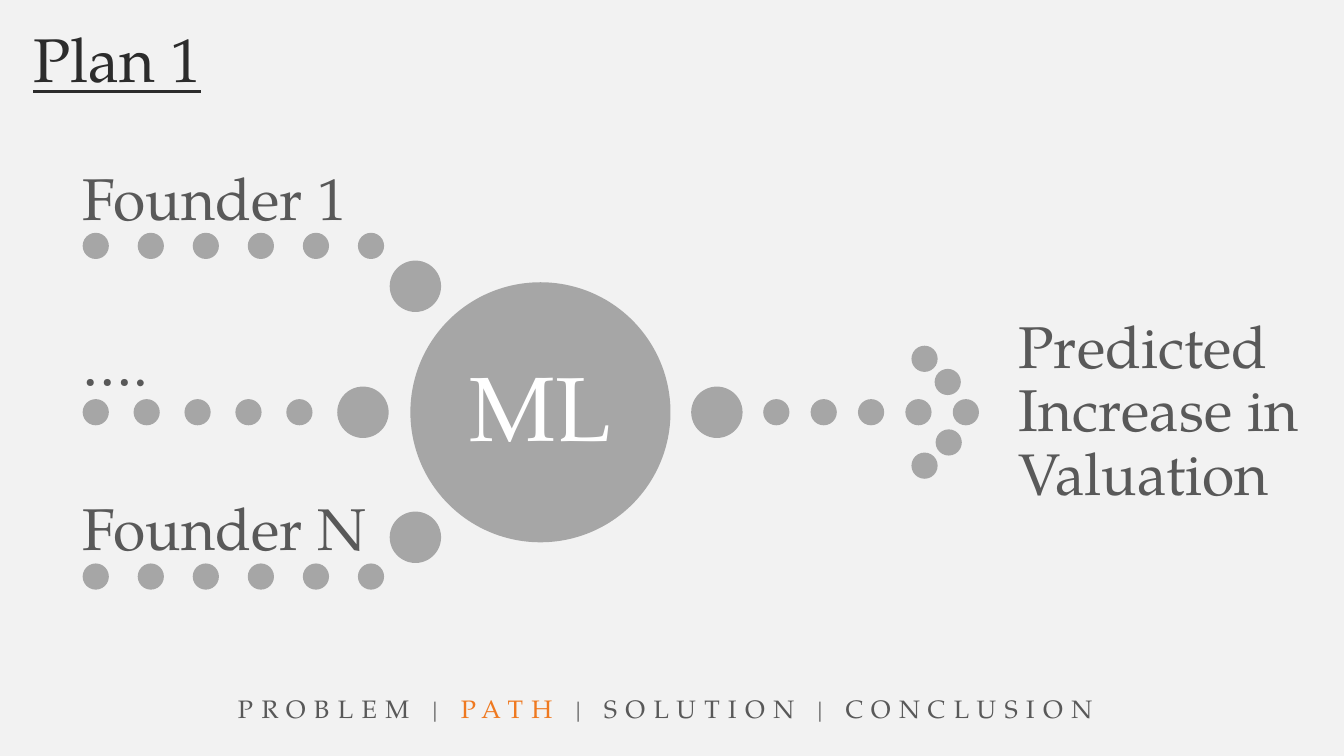
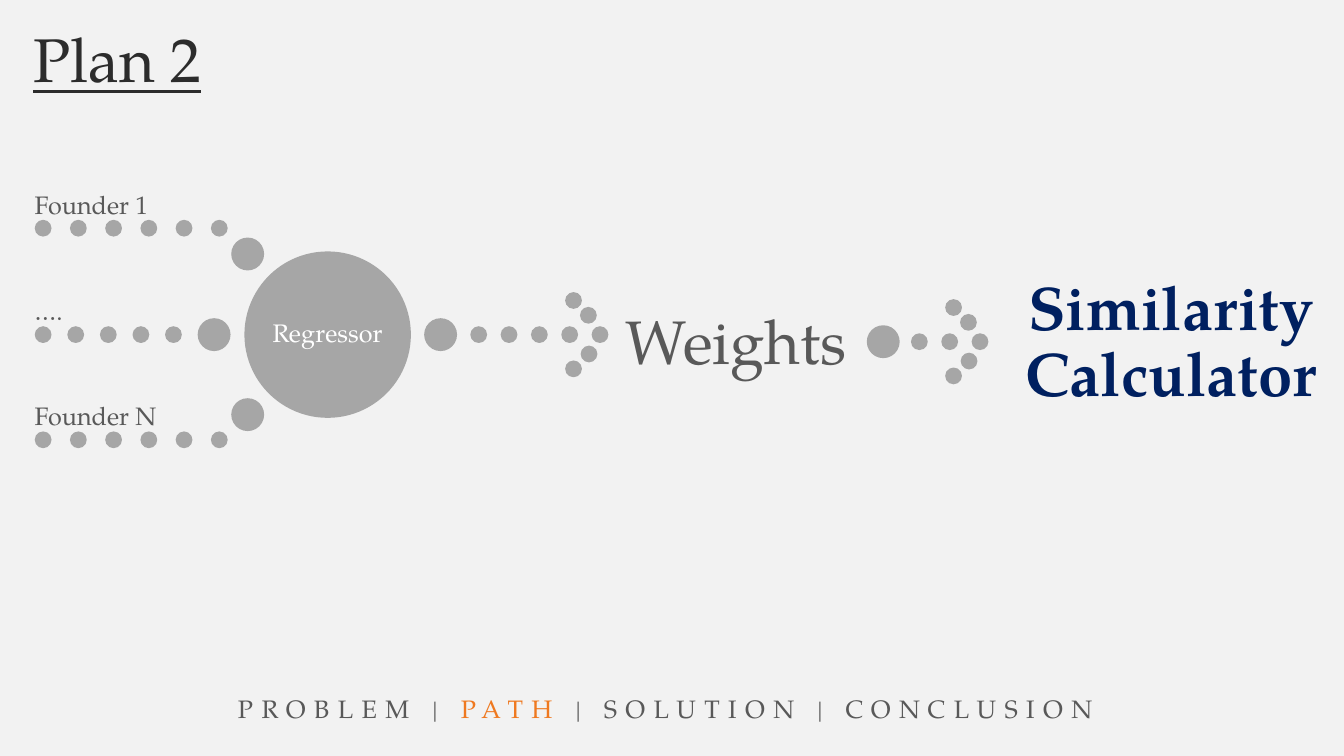
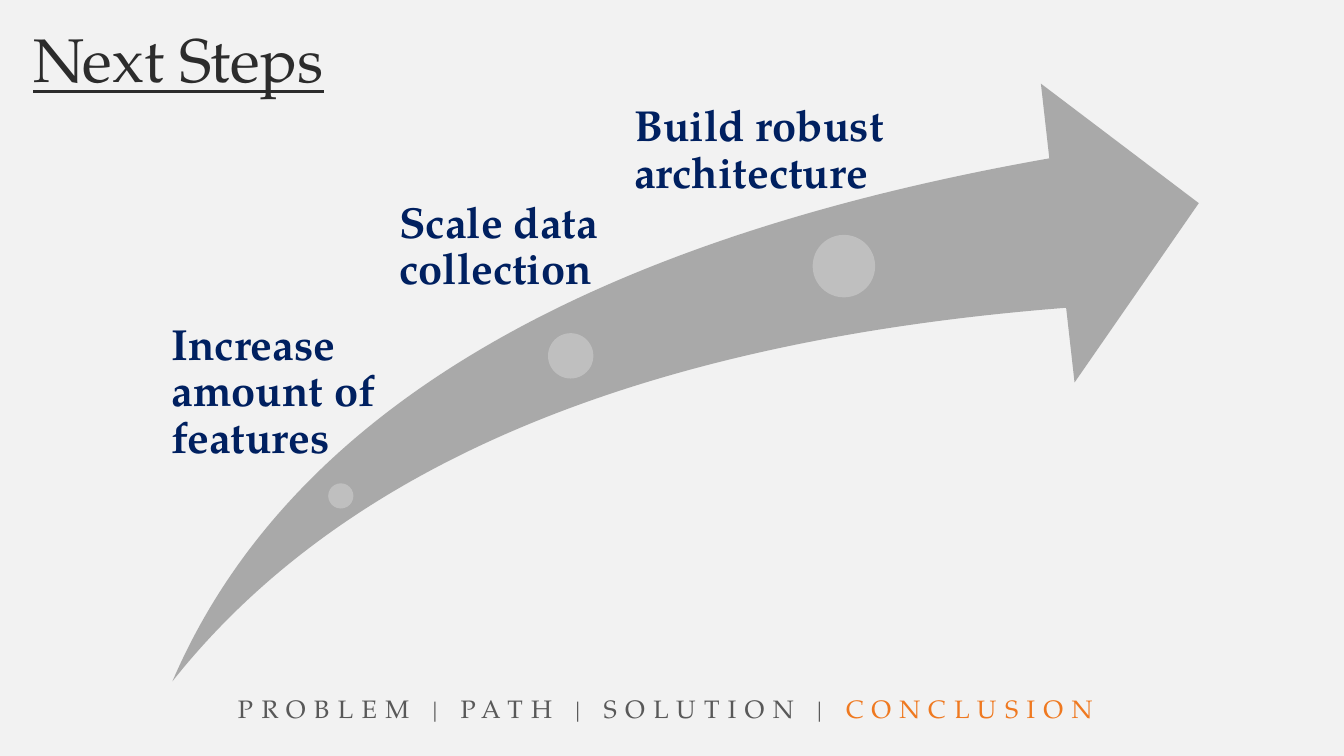
import lxml.etree
import pptx
import pptx.dml.color
import pptx.enum.shapes
import pptx.enum.text
import pptx.oxml.ns
import pptx.util

Inches = pptx.util.Inches
SHAPES = pptx.enum.shapes.MSO_SHAPE
ALIGN = pptx.enum.text.PP_ALIGN
ANCHOR = pptx.enum.text.MSO_ANCHOR

# Shared style
FONT = "TeX Gyre Pagella"
BACKGROUND, TITLE, BODY, ACCENT = "F2F2F2", "2C2C2C", "595959", "EF7920"
NAVY, DOT, PALE, ARROW, WHITE = "002060", "A6A6A6", "BFBFBF", "9B9B9B", "FFFFFF"
SECTIONS = ["PROBLEM", "PATH", "SOLUTION", "CONCLUSION"]

# Funnel at full scale, measured from the centre of its hub
SMALL, LARGE, HUB = 0.26, 0.51, 2.58
ROW_START, LABEL_HEIGHT = -4.41, 0.66
# label, row y, dots, last dot x, (large dot x, y)
ROWS = [
    ("Founder 1", -1.65, 6, -1.68, (-1.24, -1.25)),
    ("….", 0, 5, -2.39, (-1.76, 0)),
    ("Founder N", 1.63, 6, -1.68, (-1.24, 1.24)),
]
ARROW_TIP, ARROW_PITCH = 4.22, 0.47
ARROW_BARBS = [(-0.41, -0.53), (-0.18, -0.3), (-0.17, 0.3), (-0.41, 0.53)]

# title, centre, scale, hub text and size, label size
PLANS = [
    ("Plan 1", (5.36, 4.09), 1, "ML", 65, 42),
    ("Plan 2", (3.25, 3.32), 0.64, "Regressor", 18, 18),
]
# text, box, size, colour, bold, alignment
RESULTS = {
    "Plan 1": [("Predicted Increase in Valuation", (10.1, 3.07, 2.99, 1.97),
                42, BODY, False, ALIGN.LEFT)],
    "Plan 2": [("Weights", (6.06, 2.94, 2.49, 0.81), 44, BODY, False, ALIGN.CENTER),
               ("Similarity Calculator", (10.08, 2.7, 3.07, 1.37),
                44, NAVY, True, ALIGN.CENTER)],
}
# text, box, left inset, dot centre, dot size
STEPS = [
    ("Increase amount of features", (1.57, 3.2, 2.21, 2.01), 0.13, (3.38, 4.92), 0.25),
    ("Scale data collection", (3.72, 1.99, 2.65, 1.24), 0.24, (5.66, 3.53), 0.45),
    ("Build robust architecture", (5.96, 1.03, 3.21, 3.74), 0.33, (8.37, 2.64), 0.62),
]


def colour(value):
    return pptx.dml.color.RGBColor.from_string(value)


def write(shape, spans, size, align=ALIGN.LEFT, anchor=ANCHOR.TOP, insets=(0, 0, 0, 0),
          line_spacing=0.9, wrap=True, letter_spacing=0, **font_format):
    """Fill a shape with one paragraph of (text, colour) spans."""
    frame = shape.text_frame
    frame.word_wrap = wrap
    frame.vertical_anchor = anchor
    for side, inset in zip(("left", "top", "right", "bottom"), insets):
        setattr(frame, "margin_" + side, Inches(inset))
    para = frame.paragraphs[0]
    para.alignment = align
    para.line_spacing = line_spacing
    for text, text_colour in spans:
        span = para.add_run()
        span.text = text
        values = {"name": FONT, "size": pptx.util.Pt(size), **font_format}
        for name, value in values.items():
            setattr(span.font, name, value)
        span.font.color.rgb = colour(text_colour)
        if letter_spacing:
            span._r.get_or_add_rPr().set("spc", str(letter_spacing * 100))


def text_box(page, box, *args, **options):
    shape = page.shapes.add_textbox(*map(Inches, box))
    write(shape, *args, **options)


def filled(page, kind, box, fill):
    shape = page.shapes.add_shape(kind, *map(Inches, box))
    shape.shadow.inherit = False
    shape.fill.solid()
    shape.fill.fore_color.rgb = colour(fill)
    shape.line.fill.background()
    return shape


def circle(page, x, y, size, fill=DOT):
    return filled(page, SHAPES.OVAL, (x - size / 2, y - size / 2, size, size), fill)


def add_page(deck, title, current):
    """Blank page with the underlined title and the section footer."""
    page = deck.slides.add_slide(deck.slide_layouts[6])
    text_box(page, (0.23, 0.16, 9.39, 0.84), [(title, TITLE)], 44,
             insets=(0.1, 0.05, 0.1, 0.05), line_spacing=1, underline=True)
    position = SECTIONS.index(current)
    spans = [("".join(name + " | " for name in SECTIONS[:position]), BODY),
             (current, ACCENT),
             ("".join(" | " + name for name in SECTIONS[position + 1:]), BODY)]
    text_box(page, (0.8, 6.83, 11.6, 0.4), [span for span in spans if span[0]], 18,
             align=ALIGN.CENTER, anchor=ANCHOR.MIDDLE, insets=(0.1, 0.05, 0.1, 0.05),
             line_spacing=1, letter_spacing=6)
    return page


def dotted_arrow(page, tip_x, y, scale, dots, lead):
    """Arrow of dots; lead is the distance from its large dot to the next."""
    for step in range(dots):
        circle(page, tip_x - step * ARROW_PITCH * scale, y, SMALL * scale)
    tail = (dots - 1) * ARROW_PITCH + lead
    circle(page, tip_x - tail * scale, y, LARGE * scale)
    for dx, dy in ARROW_BARBS:
        circle(page, tip_x + dx * scale, y + dy * scale, SMALL * scale)


def funnel(page, centre, scale, hub_text, hub_size, label_size):
    cx, cy = centre
    dotted_arrow(page, cx + ARROW_TIP * scale, cy, scale, 5, 0.59)
    hub = circle(page, cx, cy, HUB * scale)
    write(hub, [(hub_text, WHITE)], hub_size, align=ALIGN.CENTER,
          anchor=ANCHOR.MIDDLE, wrap=False)
    for label, row_y, dots, last, (large_x, large_y) in ROWS:
        pitch = (last - ROW_START) / (dots - 1)
        for index in range(dots):
            circle(page, cx + (ROW_START + index * pitch) * scale,
                   cy + row_y * scale, SMALL * scale)
        circle(page, cx + large_x * scale, cy + large_y * scale, LARGE * scale)
        box = (cx + (ROW_START - SMALL / 2) * scale,
               cy + (row_y - SMALL / 2 - LABEL_HEIGHT) * scale,
               (last - ROW_START + SMALL) * scale, LABEL_HEIGHT * scale)
        text_box(page, box, [(label, BODY)], label_size, anchor=ANCHOR.BOTTOM)


def main():
    deck = pptx.Presentation()
    deck.slide_width, deck.slide_height = Inches(13.33), Inches(7.5)
    background = deck.slide_master.background.fill
    background.solid()
    background.fore_color.rgb = colour(BACKGROUND)

    # Plans
    for title, *plan in PLANS:
        page = add_page(deck, title, "PATH")
        funnel(page, *plan)
        for text, box, size, text_colour, bold, align in RESULTS[title]:
            text_box(page, box, [(text, text_colour)], size, align=align,
                     anchor=ANCHOR.BOTTOM, bold=bold)
    # Second arrow of the last plan
    dotted_arrow(page, 9.72, 3.39, 0.64, 3, 0.56)

    # Next steps
    page = add_page(deck, "Next Steps", "CONCLUSION")
    swoosh = filled(page, SHAPES.SWOOSH_ARROW, (1.71, 0.83, 10.18, 5.93), ARROW)
    swoosh.adjustments[0] = swoosh.adjustments[1] = 0.25
    qn = pptx.oxml.ns.qn
    fill_colour = swoosh._element.spPr.find(".//" + qn("a:srgbClr"))
    lxml.etree.SubElement(fill_colour, qn("a:alpha"), val="83000")
    for text, box, inset, (dot_x, dot_y), dot_size in STEPS:
        circle(page, dot_x, dot_y, dot_size, PALE)
        text_box(page, box, [(text, NAVY)], 31, insets=(inset, 0, 0, 0), bold=True)

    deck.save("out.pptx")


if __name__ == "__main__":
    main()
